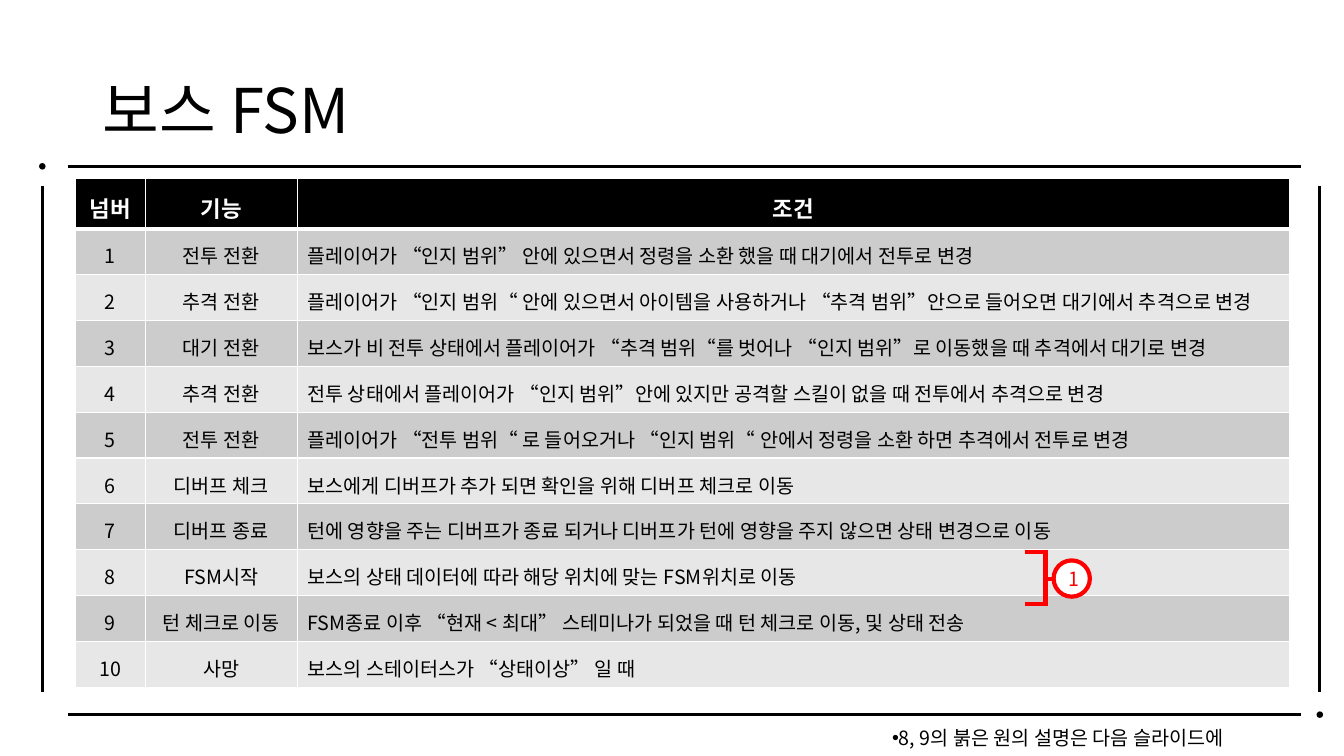
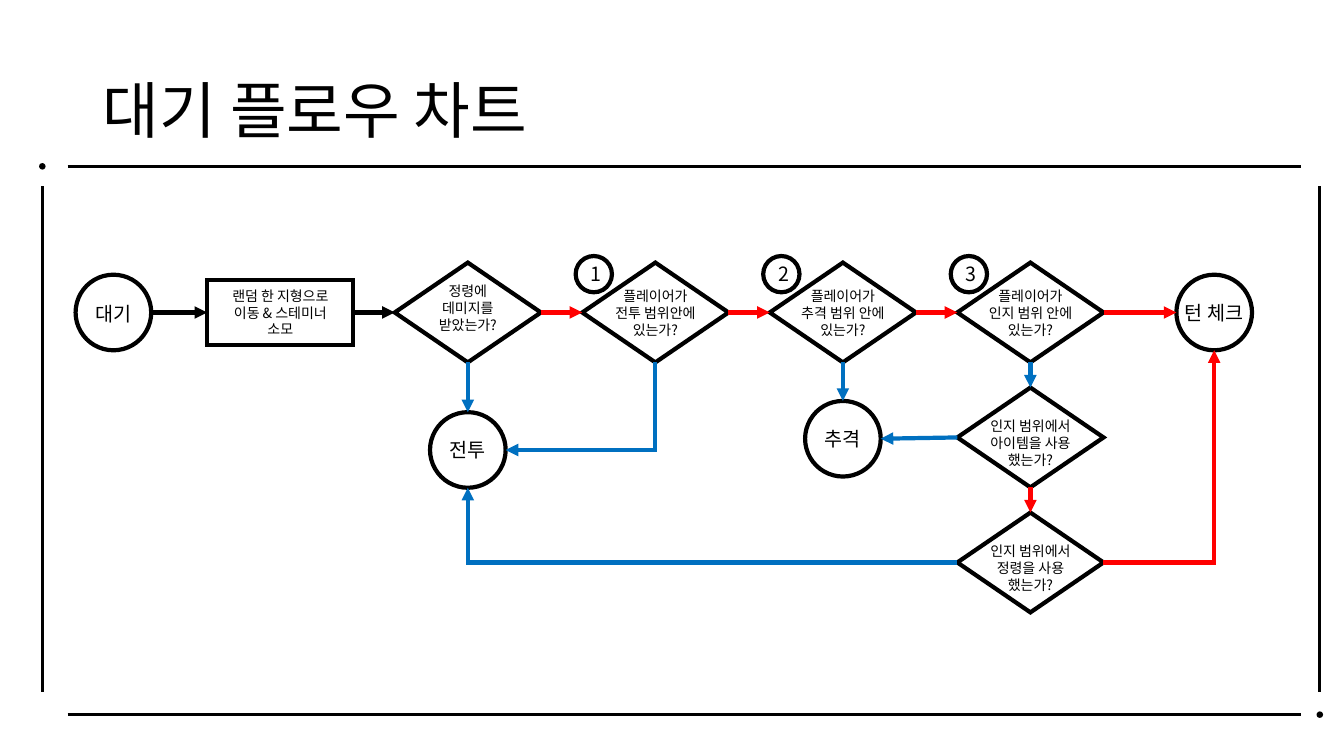
from dataclasses import dataclass
from math import cos, radians, sin

from pptx import Presentation
from pptx.dml.color import RGBColor
from pptx.enum.shapes import MSO_CONNECTOR, MSO_SHAPE
from pptx.enum.text import MSO_ANCHOR, MSO_AUTO_SIZE, PP_ALIGN
from pptx.oxml.ns import qn
from pptx.util import Inches, Pt
from lxml.etree import SubElement

BLACK = RGBColor(0x00, 0x00, 0x00)
WHITE = RGBColor(0xFF, 0xFF, 0xFF)
RED = RGBColor(0xFF, 0x00, 0x00)
BLUE = RGBColor(0x00, 0x70, 0xC0)
DARK_BAND = RGBColor(0xCC, 0xCC, 0xCC)
LIGHT_BAND = RGBColor(0xE7, 0xE7, 0xE7)

FONT = "Noto Sans CJK KR"
WIDTH, HEIGHT = 13.33, 7.5

# Flow chart grid: centre of column 0 and row 0, then the steps
COLUMN_START, COLUMN_STEP = 4.64, 1.86
ROW_START, ROW_STEP = 3.1, 1.24

TOP, LEFT, BOTTOM, RIGHT = range(4)
SIDES = {TOP: (0, -0.5), LEFT: (-0.5, 0), BOTTOM: (0, 0.5), RIGHT: (0.5, 0)}
SIZES = {
    MSO_SHAPE.OVAL: (0.75, 0.75),
    MSO_SHAPE.RECTANGLE: (1.45, 0.65),
    MSO_SHAPE.FLOWCHART_DECISION: (1.45, 0.99),
}
BADGE = 0.36


@dataclass(frozen=True)
class Node:
    kind: int
    column: float
    row: float
    lines: tuple[str, ...]
    drop: float = 0  # how far the label sits below the centre

    @property
    def center(self) -> tuple[float, float]:
        return COLUMN_START + self.column * COLUMN_STEP, ROW_START + self.row * ROW_STEP

    def side(self, side: int) -> tuple[float, float]:
        x, y = self.center
        width, height = SIZES[self.kind]
        return x + SIDES[side][0] * width, y + SIDES[side][1] * height


@dataclass(frozen=True)
class Link:
    start: str
    start_side: int
    end: str
    end_side: int
    color: RGBColor
    turn: int | None = None  # rotation of an elbow, None for a straight line


DECISION, CIRCLE = MSO_SHAPE.FLOWCHART_DECISION, MSO_SHAPE.OVAL
NODES = {
    "move": Node(MSO_SHAPE.RECTANGLE, -1, 0, ("랜덤 한 지형으로", "이동 & 스테미너", "소모")),
    "damaged": Node(DECISION, 0, 0, ("정령에", "데미지를", "받았는가?"), -0.04),
    "idle": Node(CIRCLE, -1.89, 0, ("대기",), 0.02),
    "in_battle": Node(DECISION, 1, 0, ("플레이어가", "전투 범위안에", "있는가?"), 0.01),
    "in_chase": Node(DECISION, 2, 0, ("플레이어가", "추격 범위 안에", "있는가?"), 0.01),
    "in_sight": Node(DECISION, 3, 0, ("플레이어가", "인지 범위 안에", "있는가?"), 0.01),
    "item_used": Node(DECISION, 3, 1, ("인지 범위에서", "아이템을 사용", "했는가?"), 0.06),
    "spirit_used": Node(DECISION, 3, 2, ("인지 범위에서", "정령을 사용", "했는가?"), 0.06),
    "turn_check": Node(CIRCLE, 3.98, 0, ("턴 체크",), 0.01),
    "battle": Node(CIRCLE, 0, 1.1, ("전투",)),
    "chase": Node(CIRCLE, 2, 1.01, ("추격",)),
}
LINKS = [
    Link("idle", RIGHT, "move", LEFT, BLACK),
    Link("move", RIGHT, "damaged", LEFT, BLACK),
    Link("damaged", RIGHT, "in_battle", LEFT, RED),
    Link("in_battle", RIGHT, "in_chase", LEFT, RED),
    Link("in_chase", RIGHT, "in_sight", LEFT, RED),
    Link("in_sight", RIGHT, "turn_check", LEFT, RED),
    Link("in_sight", BOTTOM, "item_used", TOP, BLUE),
    Link("item_used", BOTTOM, "spirit_used", TOP, RED),
    Link("spirit_used", RIGHT, "turn_check", BOTTOM, RED, 0),
    Link("item_used", LEFT, "chase", RIGHT, BLUE),
    Link("in_chase", BOTTOM, "chase", TOP, BLUE),
    Link("damaged", BOTTOM, "battle", TOP, BLUE),
    Link("in_battle", BOTTOM, "battle", RIGHT, BLUE, 90),
    Link("spirit_used", LEFT, "battle", BOTTOM, BLUE, 180),
]
COLUMN_WIDTHS = (0.69, 1.51, 9.84)
HEADINGS = ("넘버", "기능", "조건")
RULES = [
    ("전투 전환", "플레이어가 “인지 범위” 안에 있으면서 정령을 소환 했을 때 대기에서 전투로 변경"),
    ("추격 전환", "플레이어가 “인지 범위“ 안에 있으면서 아이템을 사용하거나 “추격 범위”안으로 들어오면 대기에서 추격으로 변경"),
    ("대기 전환", "보스가 비 전투 상태에서 플레이어가 “추격 범위“를 벗어나 “인지 범위”로 이동했을 때 추격에서 대기로 변경"),
    ("추격 전환", "전투 상태에서 플레이어가 “인지 범위”안에 있지만 공격할 스킬이 없을 때 전투에서 추격으로 변경"),
    ("전투 전환", "플레이어가 “전투 범위“ 로 들어오거나 “인지 범위“ 안에서 정령을 소환 하면 추격에서 전투로 변경"),
    ("디버프 체크", "보스에게 디버프가 추가 되면 확인을 위해 디버프 체크로 이동"),
    ("디버프 종료", "턴에 영향을 주는 디버프가 종료 되거나 디버프가 턴에 영향을 주지 않으면 상태 변경으로 이동"),
    ("FSM시작", "보스의 상태 데이터에 따라 해당 위치에 맞는 FSM위치로 이동"),
    ("턴 체크로 이동", "FSM종료 이후 “현재 < 최대” 스테미나가 되었을 때 턴 체크로 이동, 및 상태 전송"),
    ("사망", "보스의 스테이터스가 “상태이상” 일 때"),
]


def apply(target, formats: dict) -> None:
    for name, value in formats.items():
        setattr(target, name, value)


def write(frame, lines, size: float, color=BLACK, bold=False, **para_formats) -> None:
    """Fill a text frame with one paragraph per line."""
    for index, line in enumerate(lines):
        para = frame.paragraphs[0] if index == 0 else frame.add_paragraph()
        apply(para, para_formats)
        span = para.add_run()
        span.text = line
        span.font.color.rgb = color
        apply(span.font, {"size": Pt(size), "bold": bold, "name": FONT})
        SubElement(span.font._element, qn("a:ea"), typeface=FONT)


def stroke(shape, color: RGBColor, width: float) -> None:
    shape.line.color.rgb = color
    shape.line.width = Pt(width)
    SubElement(shape.line._ln, qn("a:miter"), lim="800000")


def add_shape(page, kind, x, y, width, height, line=BLACK, weight=3.0, fill=WHITE):
    box = page.shapes.add_shape(kind, *map(Inches, (x, y, width, height)))
    box.shadow.inherit = False
    if fill is None:
        box.fill.background()
    else:
        box.fill.solid()
        box.fill.fore_color.rgb = fill
    stroke(box, line, weight)
    return box


def add_line(page, start, end, color=BLACK, weight=3.0, arrow=False):
    line = page.shapes.add_connector(MSO_CONNECTOR.STRAIGHT, *map(Inches, (*start, *end)))
    stroke(line, color, weight)
    if arrow:
        SubElement(line.line._ln, qn("a:tailEnd"), type="triangle")
    SubElement(line.element.spPr, qn("a:effectLst"))
    return line


def add_label(page, x, y, width, height, lines, size, **para_formats):
    box = page.shapes.add_textbox(*map(Inches, (x, y, width, height)))
    apply(box.text_frame, {"word_wrap": False, "auto_size": MSO_AUTO_SIZE.SHAPE_TO_FIT_TEXT})
    write(box.text_frame, lines, size, **para_formats)
    return box


def add_badge(page, x: float, y: float, number: int, color=BLACK) -> None:
    badge = add_shape(page, MSO_SHAPE.OVAL, x, y, BADGE, BADGE, color)
    badge.text_frame.vertical_anchor = MSO_ANCHOR.MIDDLE
    write(badge.text_frame, [str(number)], 14, color, alignment=PP_ALIGN.CENTER)


def add_frame(page, layout) -> None:
    """Draw the frame and hand it to the layout, so that every page shows it."""
    left, right, top, bottom = 0.42, 13.09, 1.65, 7.09
    parts = [add_line(page, (0.67, y), (12.9, y), weight=2.25) for y in (top, bottom)]
    parts += [add_line(page, (x, 1.85), (x, 6.87), weight=2.25) for x in (left, right)]
    dot = 0.05
    parts += [
        add_shape(page, MSO_SHAPE.OVAL, x - dot / 2, y - dot / 2, dot, dot, weight=1, fill=BLACK)
        for x, y in ((right, bottom), (left, top))
    ]
    for number, part in enumerate(parts, start=100):
        part.element.xpath("./*/p:cNvPr")[0].set("id", str(number))
        layout.shapes.element.append(part.element)


def add_page(deck, layout, title: str):
    page = deck.slides.add_slide(layout)
    frame = page.shapes.title.text_frame
    apply(frame, {"vertical_anchor": MSO_ANCHOR.MIDDLE, "auto_size": MSO_AUTO_SIZE.NONE})
    write(frame, [title], 44, alignment=PP_ALIGN.LEFT, line_spacing=0.9)
    return page


def fill_cell(cell, text: str, fill: RGBColor, centered: bool, header: bool) -> None:
    properties = cell._tc.get_or_add_tcPr()
    for edge in ("lnL", "lnR", "lnT", "lnB"):
        weight = 3 if header and edge == "lnB" else 1
        border = SubElement(properties, qn(f"a:{edge}"), w=str(Pt(weight)))
        SubElement(SubElement(border, qn("a:solidFill")), qn("a:srgbClr"), val=str(WHITE))
    cell.fill.solid()
    cell.fill.fore_color.rgb = fill
    cell.vertical_anchor = MSO_ANCHOR.MIDDLE
    write(cell.text_frame, [text], 16 if header else 14, WHITE if header else BLACK, header,
          alignment=PP_ALIGN.CENTER if centered else PP_ALIGN.LEFT, line_spacing=1.25)


def add_rules_table(page) -> None:
    rows = [HEADINGS] + [(str(number), *rule) for number, rule in enumerate(RULES, start=1)]
    row_height = 0.41
    table = page.shapes.add_table(
        len(rows), len(HEADINGS),
        *map(Inches, (0.75, 1.77, sum(COLUMN_WIDTHS), row_height * len(rows)))).table
    for column, width in zip(table.columns, COLUMN_WIDTHS):
        column.width = Inches(width)
    for r, row in enumerate(rows):
        table.rows[r].height = Inches(row_height)
        fill = BLACK if r == 0 else DARK_BAND if r % 2 else LIGHT_BAND
        for c, text in enumerate(row):
            fill_cell(table.cell(r, c), text, fill, r == 0 or c < 2, r == 0)


def add_rules_note(page) -> None:
    note = add_label(page, 8.75, 7.15, 4.13, 0.34, ["8, 9의 붉은 원의 설명은 다음 슬라이드에"], 14)
    properties = note.text_frame.paragraphs[0]._p.get_or_add_pPr()
    indent = Inches(0.31)
    apply(properties, {"marL": indent, "indent": -indent})
    SubElement(properties, qn("a:buFont"), typeface="Arial")
    SubElement(properties, qn("a:buChar"), char="•")


def add_node(page, node: Node):
    x, y = node.center
    width, height = SIZES[node.kind]
    box = add_shape(page, node.kind, x - width / 2, y - height / 2, width, height)
    if node.kind == MSO_SHAPE.RECTANGLE:
        box.text_frame.vertical_anchor = MSO_ANCHOR.MIDDLE
        write(box.text_frame, node.lines, 10, alignment=PP_ALIGN.CENTER)
        return box
    size, label_width, label_height = (14, 0.8, 0.34) if node.kind == CIRCLE else (10, 1.1, 0.61)
    add_label(page, x - label_width / 2, y + node.drop - label_height / 2,
              label_width, label_height, node.lines, size, alignment=PP_ALIGN.CENTER)
    return box


def add_link(page, link: Link, boxes: dict) -> None:
    start_node, end_node = NODES[link.start], NODES[link.end]
    start, end = start_node.side(link.start_side), end_node.side(link.end_side)
    if link.turn is None:
        line = add_line(page, start, end, link.color, arrow=True)
        # Circles number their joints differently, so only four-sided nodes are joined
        if start_node.kind != CIRCLE:
            line.begin_connect(boxes[link.start], link.start_side)
        if end_node.kind != CIRCLE:
            line.end_connect(boxes[link.end], link.end_side)
        return
    # Turn both ends back about the centre, then rotate the elbow into place
    x, y = (start[0] + end[0]) / 2, (start[1] + end[1]) / 2
    angle = radians(link.turn)
    dx, dy = start[0] - x, start[1] - y
    across, down = dx * cos(angle) + dy * sin(angle), dy * cos(angle) - dx * sin(angle)
    line = add_line(page, (x + across, y + down), (x - across, y - down), link.color, arrow=True)
    line.element.spPr.find(qn("a:prstGeom")).set("prst", "bentConnector2")
    if link.turn:
        line.element.spPr.find(qn("a:xfrm")).set("rot", str(link.turn * 60000))


def main() -> None:
    deck = Presentation()
    apply(deck, {"slide_width": Inches(WIDTH), "slide_height": Inches(HEIGHT)})
    layout = deck.slide_layouts[5]
    apply(layout.placeholders[0], {"left": Inches(0.92), "top": Inches(0.4),
                                   "width": Inches(11.5), "height": Inches(1.45)})

    # Rules of the state machine
    page = add_page(deck, layout, "보스 FSM")
    add_frame(page, layout)
    add_rules_table(page)
    add_rules_note(page)
    brace = add_shape(page, MSO_SHAPE.RIGHT_BRACE, 10.17, 5.48, 0.4, 0.51, RED, fill=None)
    brace.adjustments[0], brace.adjustments[1] = 0, 0.52
    add_badge(page, 10.45, 5.56, 1, RED)

    # Flow chart of the idle state
    page = add_page(deck, layout, "대기 플로우 차트")
    boxes = {name: add_node(page, node) for name, node in NODES.items()}
    for link in LINKS:
        add_link(page, link, boxes)
    for number in (1, 2, 3):
        add_badge(page, 3.85 + number * COLUMN_STEP, 2.54, number)

    deck.save("out.pptx")


if __name__ == "__main__":
    main()
